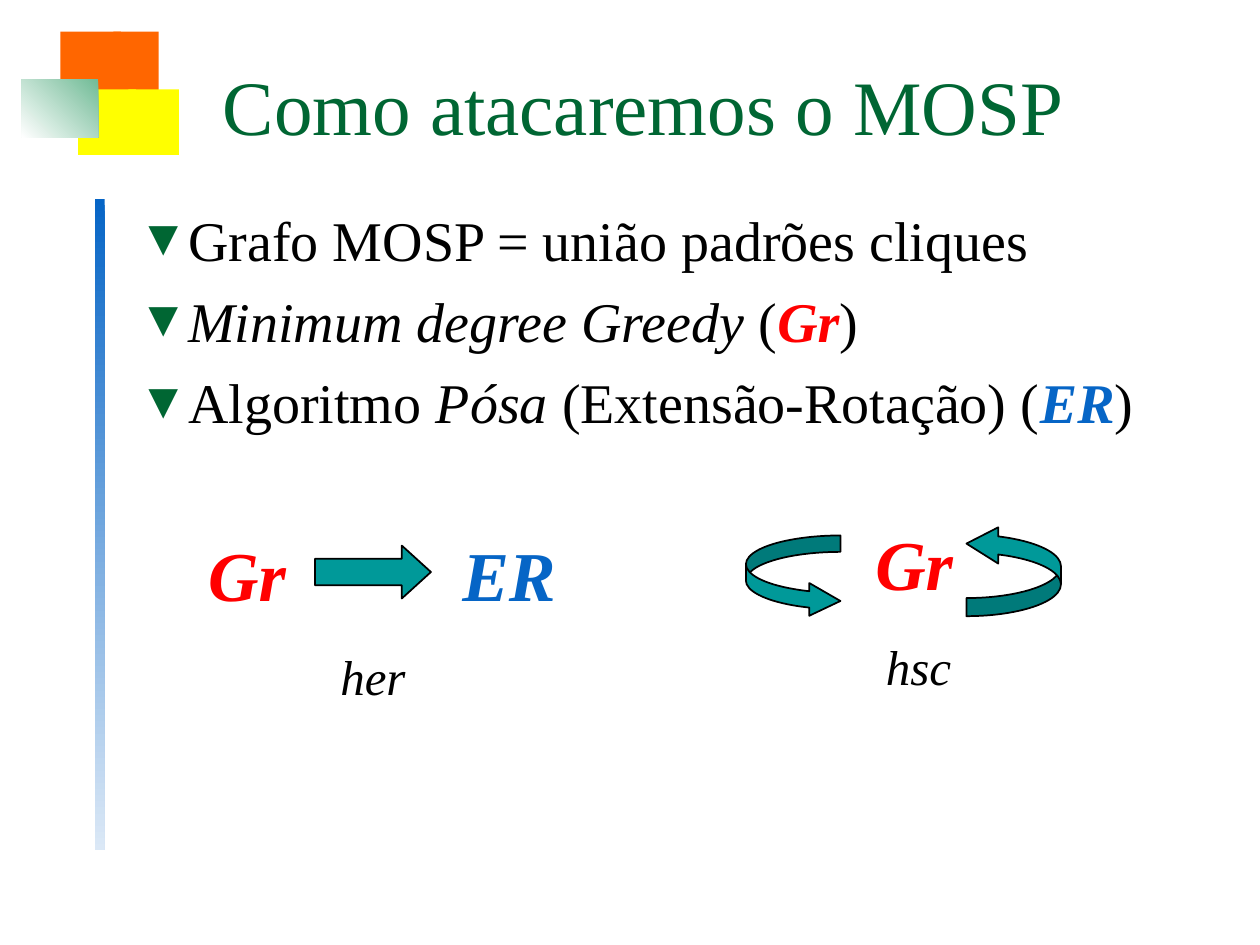
from lxml import etree
from pptx import Presentation
from pptx import util as u
from pptx.dml.color import RGBColor
from pptx.enum import shapes, text
from pptx.oxml.ns import qn

FONT = "Times New Roman"
GREEN, BLUE, RED, BLACK, TEAL = "006633", "0665C6", "FF0000", "000000", "009999"
ORANGE, YELLOW = "FF6600", "FFFF00"
KIND = shapes.MSO_SHAPE


def colour(value):
    """Turn a hex string into a colour."""
    return RGBColor.from_string(value)


def add_block(parent, box, kind=KIND.RECTANGLE, fill=None, gradient=None, angle=0,
              line=None, adjustments=(), rotation=0):
    """Add a preset shape with a solid or gradient fill."""
    shape = parent.add_shape(kind, *map(u.Inches, box))
    shape.shadow.inherit = False
    shape.rotation = rotation
    for index, value in enumerate(adjustments):
        shape.adjustments[index] = value
    if gradient:
        shape.fill.gradient()
        shape.fill.gradient_angle = angle
        for stop, value in zip(shape.fill.gradient_stops, gradient):
            stop.color.rgb = colour(value)
    else:
        shape.fill.solid()
        shape.fill.fore_color.rgb = colour(fill)
    if line:
        shape.line.color.rgb = colour(line)
        shape.line.width = u.Pt(1)
    else:
        shape.line.fill.background()
    return shape


def add_bullet(paragraph):
    """Give a paragraph a hanging green triangle bullet."""
    properties = paragraph._p.get_or_add_pPr()
    properties.set("marL", str(u.Inches(0.38)))
    properties.set("indent", str(u.Inches(-0.38)))
    bullet_colour = etree.SubElement(properties, qn("a:buClr"))
    etree.SubElement(bullet_colour, qn("a:srgbClr"), val=GREEN)
    etree.SubElement(properties, qn("a:buSzPct"), val="90000")
    etree.SubElement(properties, qn("a:buFont"), typeface=FONT)
    etree.SubElement(properties, qn("a:buChar"), char="▼")


def add_text(slide, box, paragraphs, size, color=BLACK, bold=False, italic=False,
             align=text.PP_ALIGN.LEFT, anchor=text.MSO_ANCHOR.TOP, before=0, bullet=False):
    """Add a text box; each paragraph is a string or a list of (text, format) runs."""
    frame = slide.shapes.add_textbox(*map(u.Inches, box)).text_frame
    frame.word_wrap = True
    frame.vertical_anchor = anchor
    for index, content in enumerate(paragraphs):
        paragraph = frame.add_paragraph() if index else frame.paragraphs[0]
        paragraph.alignment = align
        paragraph.space_before = u.Pt(before)
        if bullet:
            add_bullet(paragraph)
        runs = [(content, {})] if isinstance(content, str) else content
        for words, style in runs:
            run = paragraph.add_run()
            run.text = words
            run.font.name = FONT
            run.font.size = u.Pt(size)
            run.font.bold = style.get("bold", bold)
            run.font.italic = style.get("italic", italic)
            run.font.color.rgb = colour(style.get("color", color))


def add_decoration(slide):
    """Add the corner squares and the vertical bar."""
    corner = slide.shapes.add_group_shape().shapes
    for left, top, width, fill in ((0.48, 0.25, 0.48, ORANGE), (0.9, 0.25, 0.36, ORANGE),
                                   (0.62, 0.71, 0.46, YELLOW), (1.02, 0.71, 0.4, YELLOW)):
        add_block(corner, (left, top, width, 0.52), fill=fill)
    add_block(corner, (0.17, 0.63, 0.61, 0.46), gradient=("71BB96", "FFFFFF"), angle=225)
    add_block(slide.shapes, (0.75, 1.58, 0.08, 5.17), gradient=(BLUE, "DBE8F6"), angle=270)


def add_points(slide):
    """Add the title and the bulleted points."""
    add_text(slide, (1.67, 0.25, 8.17, 1.17), ["Como atacaremos o MOSP"], 44,
             color=GREEN, anchor=text.MSO_ANCHOR.MIDDLE)
    slanted = {"italic": True}
    greedy = {"color": RED, "bold": True, "italic": True}
    rotation = {**greedy, "color": BLUE}
    points = [
        "Grafo MOSP = união padrões cliques",
        [("Minimum degree Greedy", slanted), (" (", {}), ("Gr", greedy), (")", {})],
        [("Algoritmo ", {}), ("Pósa", slanted), (" (Extensão-Rotação) (", {}),
         ("ER", rotation), (")", {})],
    ]
    add_text(slide, (1, 1.58, 8.22, 5.17), points, 32, before=8, bullet=True)


def add_diagrams(slide):
    """Add the two heuristic diagrams with their captions."""
    for words, box, color in (("Gr", (1.5, 4.17, 0.92, 0.77), RED),
                              ("ER", (3.5, 4.17, 1.08, 0.77), BLUE),
                              ("Gr", (6.67, 4.08, 1.17, 0.77), RED)):
        add_text(slide, box, [words], 40, color=color, bold=True, italic=True,
                 align=text.PP_ALIGN.CENTER, before=25)
    for words, left, top in (("her", 2, 5.08), ("hsc", 6.33, 5)):
        add_text(slide, (left, top, 1.92, 0.57), [words], 28, italic=True,
                 align=text.PP_ALIGN.CENTER, before=17.5)
    for kind, box, adjustments, rotation in (
            (KIND.RIGHT_ARROW, (2.5, 4.33, 0.92, 0.42), (0.5, 0.55), 0),
            (KIND.CURVED_RIGHT_ARROW, (5.92, 4.25, 0.75, 0.65), (0.2, 0.4, 0.38), 0),
            (KIND.CURVED_RIGHT_ARROW, (7.67, 4.17, 0.75, 0.72), (0.2, 0.4, 0.35), 180)):
        add_block(slide.shapes, box, kind, fill=TEAL, line=BLACK,
                  adjustments=adjustments, rotation=rotation)


def main():
    """Build and save the slide."""
    presentation = Presentation()
    presentation.slide_width = u.Inches(10)
    presentation.slide_height = u.Inches(7.5)
    slide = presentation.slides.add_slide(presentation.slide_layouts[6])
    add_decoration(slide)
    add_points(slide)
    add_diagrams(slide)
    presentation.save("out.pptx")


if __name__ == "__main__":
    main()
